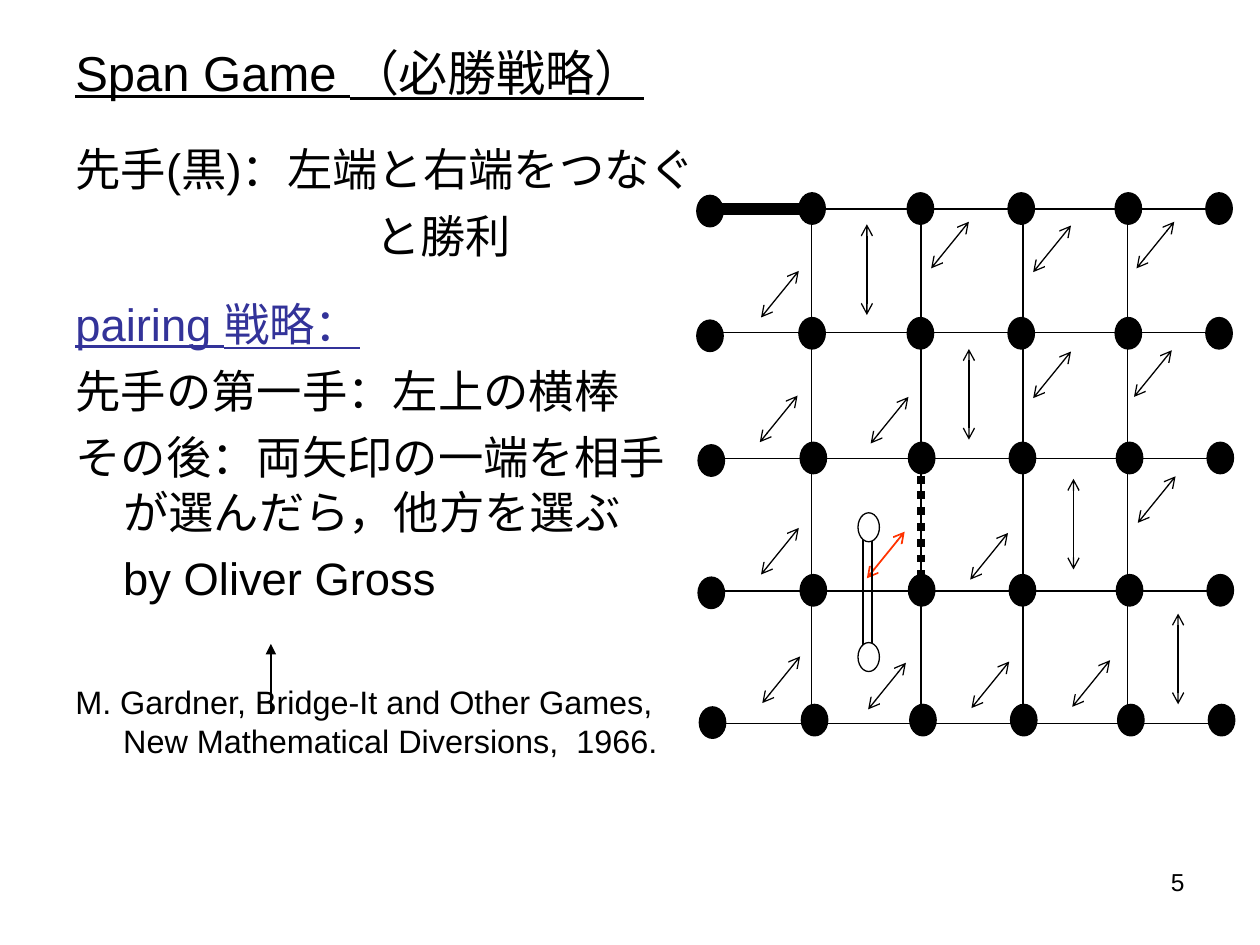
"""Build the Span Game winning strategy slide."""
from lxml import etree
from pptx import Presentation
from pptx import util as u
from pptx.dml.color import RGBColor
from pptx.enum import dml, shapes, text
from pptx.oxml.ns import qn

rgb = RGBColor.from_string
deck = Presentation()
deck.slide_width, deck.slide_height = u.Inches(10), u.Inches(7.5)
slide = deck.slides.add_slide(deck.slide_layouts[6])
items = slide.shapes


def write(box, rows):
    frame = items.add_textbox(*map(u.Inches, box)).text_frame
    frame.word_wrap = True
    for i, (words, size, hue, under, left, hang, gap) in enumerate(rows):
        para = frame.paragraphs[0] if i == 0 else frame.add_paragraph()
        props = para._p.get_or_add_pPr()
        props.set("marL", str(u.Inches(left)))
        props.set("indent", str(u.Inches(hang)))
        para.space_before = u.Pt(gap)
        run = para.add_run()
        run.text = words
        run.font.name, run.font.size = "Arial", u.Pt(size)
        run.font.color.rgb = rgb(hue)
        run.font.underline = under
    return frame


def draw(x1, y1, x2, y2, hue="000000", wide=0.75, head=None, tail=None):
    line = items.add_connector(
        shapes.MSO_CONNECTOR.STRAIGHT, *map(u.Inches, (x1, y1, x2, y2)))
    line.line.color.rgb = rgb(hue)
    line.line.width = u.Pt(wide)
    etree.SubElement(line._element.spPr, qn("a:effectLst"))
    for tag, kind in (("a:headEnd", head), ("a:tailEnd", tail)):
        if kind:
            etree.SubElement(line.line._get_or_add_ln(), qn(tag), type=kind)
    return line


title = write((0.5, 0.3, 9, 0.54),
              [("Span Game （必勝戦略）", 28, "000000", True, 0, 0, 0)])
title.vertical_anchor = text.MSO_ANCHOR.MIDDLE

body = write((0.5, 1.07, 5.13, 5.91), [
    ("先手(黒)：左端と右端をつなぐ", 25.9, "000000", False, 0.38, -0.38, 0),
    ("と勝利", 25.9, "000000", False, 2.38, 0, 7),
    ("pairing 戦略：", 25.9, "333399", True, 0.38, -0.38, 7),
    ("先手の第一手：左上の横棒", 25.9, "000000", False, 0.38, -0.38, 7),
    ("その後：両矢印の一端を相手が選んだら，他方を選ぶ",
     25.9, "000000", False, 0.38, -0.38, 7),
    ("by Oliver Gross", 25.9, "000000", False, 0.38, 0, 7),
    ("M. Gardner, Bridge-It and Other Games, New Mathematical Diversions,  1966.",
     18.5, "000000", False, 0.38, -0.38, 44),
])
body.paragraphs[2].line_spacing = 1.4

page = write((7.17, 6.83, 2.33, 0.52), [("5", 14, "000000", False, 0, 0, 0)])
page.paragraphs[0].alignment = text.PP_ALIGN.RIGHT

for y in (1.66, 2.64, 3.64, 4.69, 5.74):
    draw(5.63, y, 9.69, y)
for x in (6.44, 7.31, 8.12, 8.95):
    draw(x, 1.65, x, 5.71)
draw(5.63, 1.66, 6.46, 1.66, wide=6.5)

slants = [
    (6.34, 2.15), (6.33, 3.14), (6.34, 4.19), (6.35, 5.21),
    (7.21, 3.15), (7.19, 5.26),
    (7.69, 1.76), (8, 4.23), (8.01, 5.25),
    (8.5, 1.79), (8.5, 2.79), (8.81, 5.24),
    (9.32, 1.76), (9.3, 2.78), (9.33, 3.78),
]
for x, y in slants:
    draw(x, y, x - 0.3, y + 0.37, head="arrow", tail="arrow")
draw(7.18, 4.22, 6.88, 4.59, "FF3300", 1, "arrow", "arrow")
for x, y in ((6.88, 1.78), (7.69, 2.77), (8.52, 3.8), (9.35, 4.87)):
    draw(x, y, x, y + 0.72, head="arrow", tail="arrow")

draw(2.15, 5.67, 2.15, 5.11, tail="triangle")
for x in (6.85, 6.92):
    draw(x, 4.18, x, 5.17)
dots = draw(7.31, 3.65, 7.31, 4.68, wide=4.5)
dots.line.dash_style = dml.MSO_LINE.ROUND_DOT

ovals = [(6.81, y, 0.17, 0.23, "FFFFFF") for y in (5.1, 4.07)]
for row, y in enumerate((1.53, 2.52, 3.51, 4.56, 5.59)):
    for col, x in enumerate((5.53, 6.34, 7.2, 8, 8.85, 9.57)):
        drop = 0.02 if col == 0 else 0
        ovals.append((x + row // 2 * 0.01, y + drop, 0.21, 0.25, "000000"))
for *box, hue in ovals:
    oval = items.add_shape(shapes.MSO_SHAPE.OVAL, *map(u.Inches, box))
    oval.shadow.inherit = False
    oval.fill.solid()
    oval.fill.fore_color.rgb = rgb(hue)
    oval.line.color.rgb = rgb("000000")
    oval.line.width = u.Pt(0.75)

deck.save("out.pptx")
